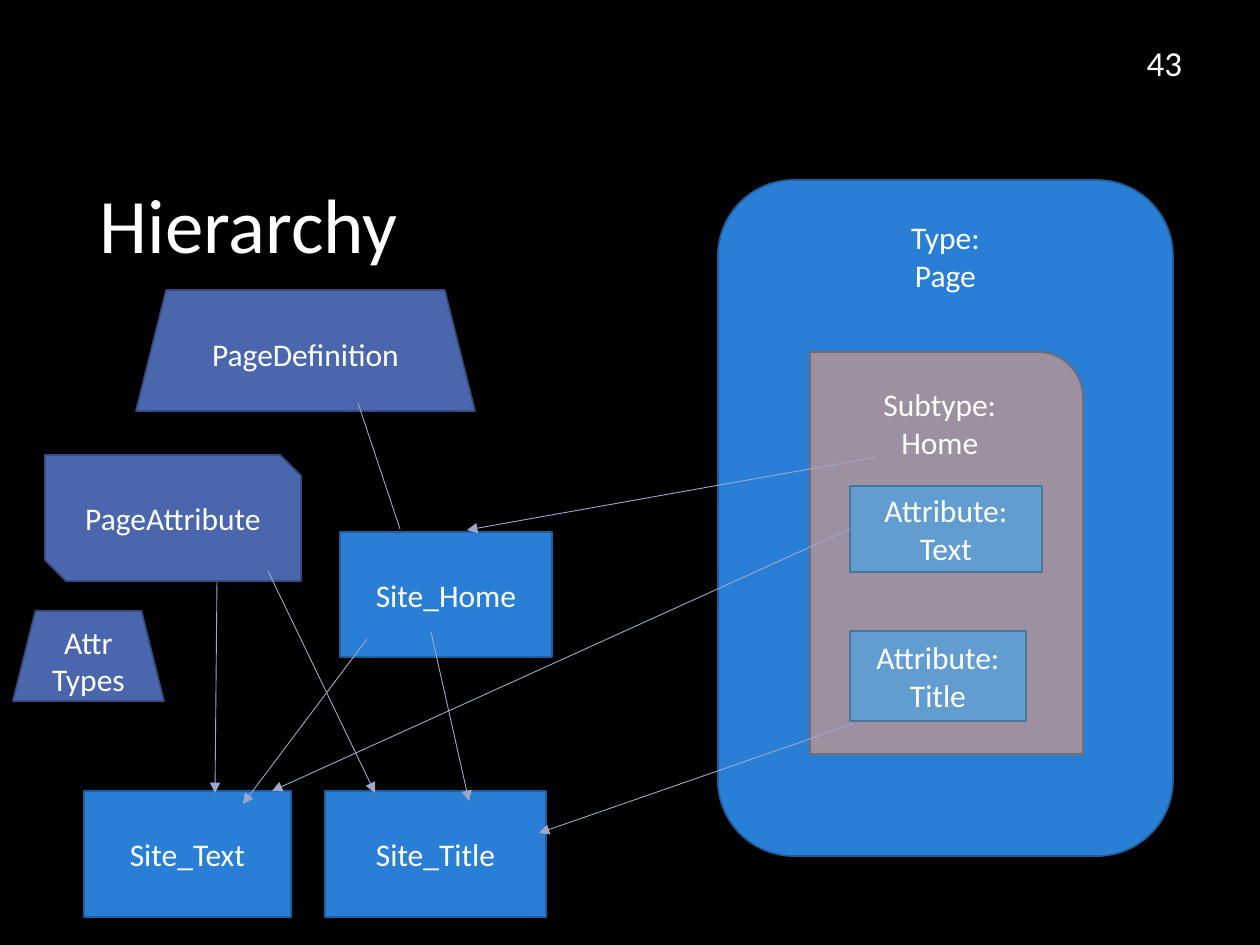
from lxml import etree
from pptx import Presentation
from pptx.dml.color import RGBColor
from pptx.enum.shapes import MSO_CONNECTOR, MSO_SHAPE
from pptx.enum.text import MSO_ANCHOR, PP_ALIGN
from pptx.oxml.ns import qn
from pptx.util import Emu, Pt

RECT = MSO_SHAPE.RECTANGLE
ROUND = MSO_SHAPE.ROUNDED_RECTANGLE
CORNER = MSO_SHAPE.ROUND_1_RECTANGLE
SNIP = MSO_SHAPE.SNIP_2_DIAG_RECTANGLE
TRAP = MSO_SHAPE.TRAPEZOID
LINE = MSO_CONNECTOR.STRAIGHT
TOP, MIDDLE = MSO_ANCHOR.TOP, MSO_ANCHOR.MIDDLE
LEFT, CENTER = PP_ALIGN.LEFT, PP_ALIGN.CENTER

COLORS = {
    "back": "000000", "text": "FFFFFF", "link": "A0A8CA",
    "blue": "297FD5", "blue_edge": "1E5E9E",
    "mauve": "9D90A0", "mauve_edge": "746B76",
    "navy": "4A66AC", "navy_edge": "374B7F",
    "sky": "629DD1", "sky_edge": "49749B",
}


def px(*vals):
    return [Emu(round(v * 914400 / 126)) for v in vals]


def write(frame, paras, size, align):
    frame.word_wrap = True
    for i, text in enumerate(paras):
        para = frame.paragraphs[0] if i == 0 else frame.add_paragraph()
        para.alignment = align
        for j, part in enumerate(text.split("\n")):
            if j:
                para.add_line_break()
            run = para.add_run()
            run.text = part
            run.font.name = "Calibri"
            run.font.size = Pt(size)
            run.font.color.rgb = RGBColor.from_string(COLORS["text"])


deck = Presentation()
deck.slide_width, deck.slide_height = px(1260, 945)
slide = deck.slides.add_slide(deck.slide_layouts[5])
slide.background.fill.solid()
slide.background.fill.fore_color.rgb = RGBColor.from_string(COLORS["back"])

title = slide.shapes.title
title.left, title.top, title.width, title.height = px(87, 137, 1086, 183)
title.text_frame.vertical_anchor = MIDDLE
write(title.text_frame, ["Hierarchy"], 44, LEFT)
title.text_frame.paragraphs[0].line_spacing = 0.9

number = slide.shapes.add_textbox(*px(1102, 35, 125, 50))
write(number.text_frame, ["43"], 20, CENTER)

# kind, box, color, paragraphs, top inset (None centres the text)
nodes = [
    (ROUND, (718, 180, 455, 676), "blue", ["Type:", "Page"], 16),
    (CORNER, (810, 352, 273, 402), "mauve", ["Subtype:\nHome"], 33),
    (SNIP, (45, 455, 256, 126), "navy", ["PageAttribute"], None),
    (TRAP, (136, 290, 339, 121), "navy", ["PageDefinition"], None),
    (RECT, (340, 532, 212, 125), "blue", ["Site_Home"], None),
    (RECT, (84, 791, 207, 126), "blue", ["Site_Text"], None),
    (RECT, (325, 791, 221, 126), "blue", ["Site_Title"], None),
    (RECT, (850, 486, 192, 86), "sky", ["Attribute:", "Text"], None),
    (RECT, (850, 631, 176, 90), "sky", ["Attribute:", "Title"], None),
    (TRAP, (13, 611, 151, 90), "navy", ["Attr\nTypes"], None),
]
shapes = {}
for kind, box, color, paras, inset in nodes:
    shape = slide.shapes.add_shape(kind, *px(*box))
    shape.shadow.inherit = False
    shape.fill.solid()
    shape.fill.fore_color.rgb = RGBColor.from_string(COLORS[color])
    shape.line.color.rgb = RGBColor.from_string(COLORS[color + "_edge"])
    shape.line.width = Pt(1)
    frame = shape.text_frame
    frame.vertical_anchor = MIDDLE if inset is None else TOP
    if inset is not None:
        frame.margin_top = px(inset)[0]
    write(frame, paras, 18, CENTER)
    shapes[paras[-1]] = shape

links = [
    ((877, 457, 467, 530), True, None),
    ((850, 529, 272, 791), True, "Text"),
    ((853, 724, 539, 833), True, None),
    ((358, 403, 400, 529), False, None),
    ((217, 582, 215, 793), True, None),
    ((268, 571, 375, 793), True, None),
    ((367, 639, 243, 804), True, None),
    ((431, 632, 469, 801), True, None),
]
for ends, arrow, start in links:
    link = slide.shapes.add_connector(LINE, *px(*ends))
    if start:
        link.begin_connect(shapes[start], 1)
    link.line.color.rgb = RGBColor.from_string(COLORS["link"])
    link.line.width = Pt(0.5)
    props = link.line._get_or_add_ln()
    if arrow:
        etree.SubElement(props, qn("a:tailEnd"), type="triangle")
    etree.SubElement(props.getparent(), qn("a:effectLst"))

deck.save("out.pptx")
